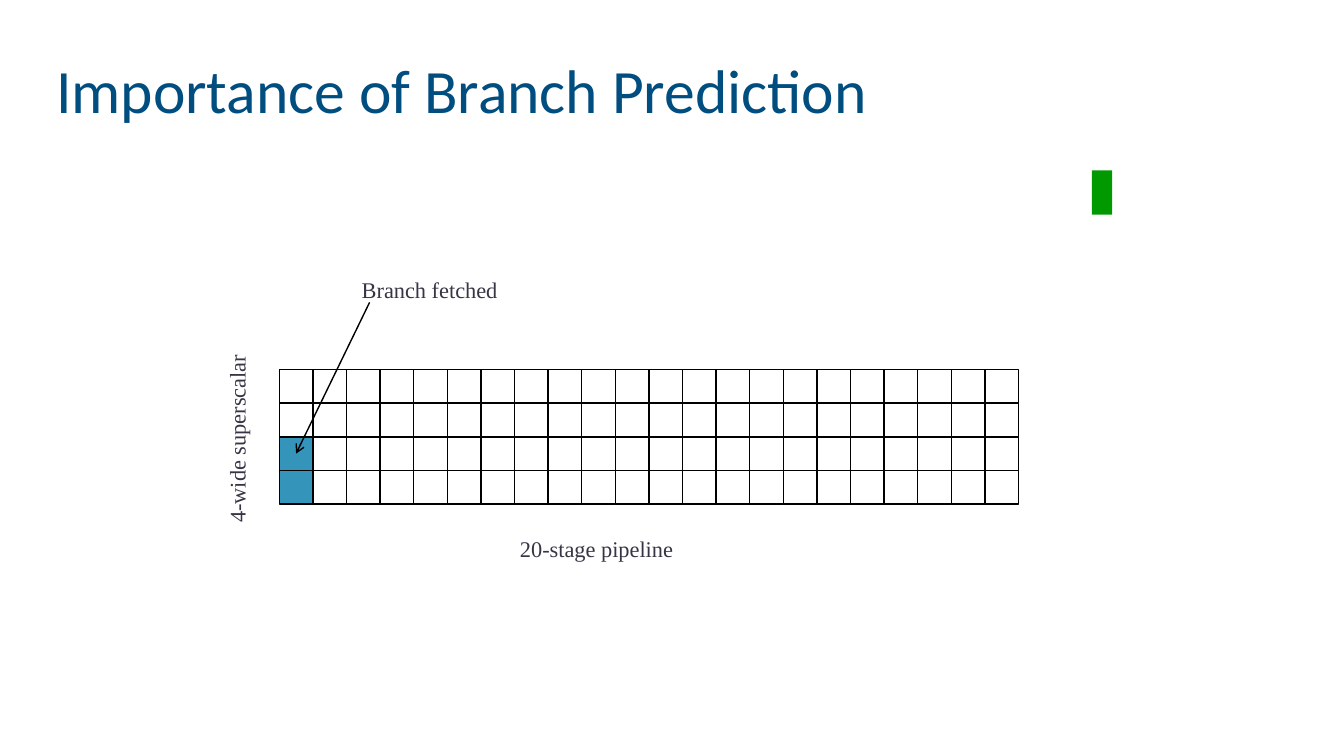
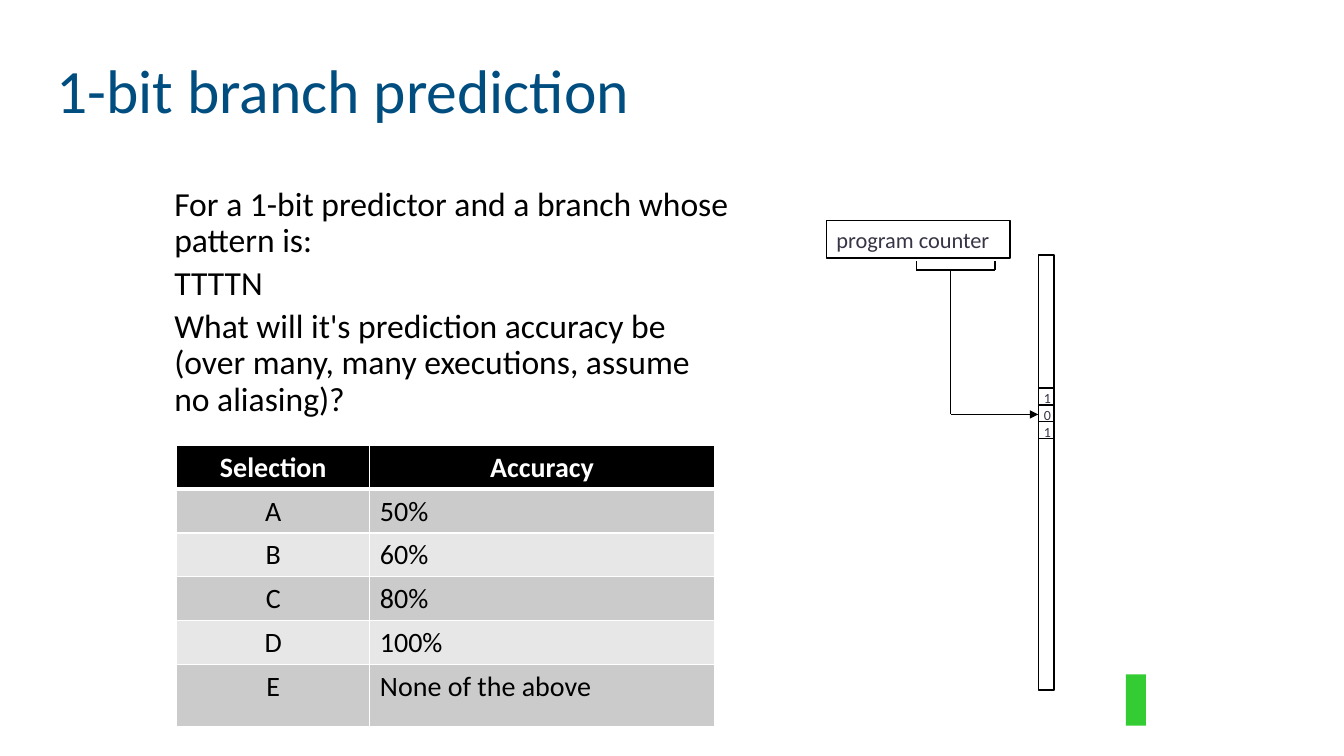
import dataclasses

import pptx
import pptx.dml.color
import pptx.enum.shapes
import pptx.enum.text
import pptx.oxml
import pptx.oxml.ns
import pptx.util

Pt = pptx.util.Pt
KIND = pptx.enum.shapes.MSO_SHAPE
LINK = pptx.enum.shapes.MSO_CONNECTOR
ALIGN = pptx.enum.text.PP_ALIGN
ANCHOR = pptx.enum.text.MSO_ANCHOR
FIT = pptx.enum.text.MSO_AUTO_SIZE


@dataclasses.dataclass(frozen=True)
class Theme:
    # Colours
    title: str = "004D80"
    ink: str = "373545"
    black: str = "000000"
    white: str = "FFFFFF"
    busy: str = "3494BA"
    green: str = "009900"
    lime: str = "33CC33"
    bands: tuple = ("CBCBCB", "E7E7E7")
    # Fonts and type sizes
    sans: str = "Calibri"
    serif: str = "Times New Roman"
    head: int = 44
    body: int = 24
    cell: int = 20
    label: int = 16
    bit: int = 10


def hue(code):
    return pptx.dml.color.RGBColor.from_string(code)


class Deck:
    def __init__(self, theme):
        self.theme = theme
        self.file = pptx.Presentation()
        self.file.slide_width, self.file.slide_height = Pt(960), Pt(540)
        self.slide = None

    def page(self, title):
        """Start a slide with the shared title style."""
        self.slide = self.file.slides.add_slide(self.file.slide_layouts[6])
        t = self.theme
        box = self.text([title], 33, 14.4, 909.5, 104.4, t.head, t.title, wrap=True)
        box.text_frame.vertical_anchor = ANCHOR.MIDDLE
        box.text_frame.paragraphs[0].line_spacing = 0.9

    def style(self, para, size, color, font=None, bold=False):
        for run in para.runs:
            run.font.name = font or self.theme.sans
            run.font.size = Pt(size)
            run.font.bold = bold
            run.font.color.rgb = hue(color)

    def text(self, lines, x, y, w, h, size, color, font=None, wrap=False):
        box = self.slide.shapes.add_textbox(Pt(x), Pt(y), Pt(w), Pt(h))
        frame = box.text_frame
        frame.word_wrap = wrap
        frame.auto_size = FIT.NONE if wrap else FIT.SHAPE_TO_FIT_TEXT
        frame.text = "\n".join(lines)
        for para in frame.paragraphs:
            self.style(para, size, color, font)
        return box

    def label(self, words, x, y, w, turn=0):
        t = self.theme
        box = self.text([words], x, y, w, 26.6, t.label, t.ink, t.serif)
        box.rotation = turn

    def rect(self, x, y, w, h, fill=None, edge=True):
        shape = self.slide.shapes.add_shape(KIND.RECTANGLE, Pt(x), Pt(y), Pt(w), Pt(h))
        shape.shadow.inherit = False
        if fill:
            shape.fill.solid()
            shape.fill.fore_color.rgb = hue(fill)
        else:
            shape.fill.background()
        if edge:
            shape.line.color.rgb = hue(self.theme.black)
            shape.line.width = Pt(1)
        else:
            shape.line.fill.background()

    def line(self, x1, y1, x2, y2, tip=None):
        link = self.slide.shapes.add_connector(
            LINK.STRAIGHT, Pt(x1), Pt(y1), Pt(x2), Pt(y2))
        link.line.color.rgb = hue(self.theme.black)
        link.line.width = Pt(1)
        props = link._element.spPr
        if tip:
            end = pptx.oxml.ns.qn("a:tailEnd")
            link.line._ln.append(link.line._ln.makeelement(end, {"type": tip}))
        props.append(props.makeelement(pptx.oxml.ns.qn("a:effectLst"), {}))

    def rim(self, cell, top, base):
        """Draw the four white borders of a table cell."""
        props = cell._tc.get_or_add_tcPr()
        sides = (("L", 1), ("R", 1), ("T", top), ("B", base))
        for i, (side, width) in enumerate(sides):
            props.insert(i, pptx.oxml.parse_xml(
                f'<a:ln{side} {pptx.oxml.ns.nsdecls("a")} w="{Pt(width)}"><a:solidFill>'
                f'<a:srgbClr val="{self.theme.white}"/></a:solidFill></a:ln{side}>'))

    def table(self, rows, x, y, wide, high):
        t = self.theme
        grid = self.slide.shapes.add_table(
            len(rows), len(wide), Pt(x), Pt(y), Pt(sum(wide)), Pt(sum(high))).table
        grid.first_row = grid.horz_banding = False
        for c, w in enumerate(wide):
            grid.columns[c].width = Pt(w)
        for r, row in enumerate(rows):
            grid.rows[r].height = Pt(high[r])
            head = r == 0
            for c, words in enumerate(row):
                cell = grid.cell(r, c)
                cell.fill.solid()
                cell.fill.fore_color.rgb = hue(t.black if head else t.bands[(r - 1) % 2])
                self.rim(cell, 3 if r == 1 else 1, 3 if head else 1)
                cell.text_frame.text = words
                para = cell.text_frame.paragraphs[0]
                para.alignment = ALIGN.CENTER if head or c == 0 else ALIGN.LEFT
                self.style(para, t.cell, t.white if head else t.black, bold=head)


def pipeline(deck):
    t = deck.theme
    deck.page("Importance of Branch Prediction")

    # Pipeline slots: the branch fills the lower half of the first stage
    side = 24
    for col in range(22):
        for row in range(4):
            fill = t.busy if col == 0 and row > 1 else t.white
            deck.rect(199.5 + col * side, 264 + row * side, side, side, fill)

    # Labels and pointer
    deck.line(264, 216, 211.5, 324, "arrow")
    deck.label("Branch fetched", 251.3, 193.7, 113)
    deck.label("4-wide superscalar", 100.8, 298.8, 136.8, 270)
    deck.label("20-stage pipeline", 364.3, 378.7, 126)
    deck.rect(780, 121.7, 14.4, 31.7, t.green, edge=False)


def one_bit(deck):
    t = deck.theme
    deck.page("1-bit branch prediction")

    # History table with three of its bits
    deck.rect(742, 182, 11, 311)
    for i in range(4):
        deck.line(741.6, 277.2 + 12 * i, 753.6, 277.2 + 12 * i)
    for i, bit in enumerate("101"):
        deck.text([bit], 738.6, 275 + 12 * i, 18, 19.4, t.bit, t.ink)

    # Program counter, with the bits that index the table
    deck.rect(590.4, 157.7, 131, 26.6)
    deck.text(["program counter"], 590.4, 157.7, 131, 26.6, t.label, t.ink)
    left, right, low = 654.5, 710.6, 193
    for x in (left, right):
        deck.line(x, 186.5, x, low)
    deck.line(left, low, right, low)
    deck.line(679, low, 679, 296)
    deck.line(679, 296, 741.6, 296, "triangle")
    deck.rect(804.2, 481.7, 14.4, 36.7, t.lime, edge=False)

    # Answers
    rows = [("Selection", "Accuracy"), ("A", "50%"), ("B", "60%"), ("C", "80%"),
            ("D", "100%"), ("E", "None of the above")]
    deck.table(rows, 126.2, 318.2, (138, 246), [31.3] * 5 + [44])

    # Question
    box = deck.text(
        ["For a 1-bit predictor and a branch whose pattern is:",
         "TTTTN",
         "What will it's prediction accuracy be (over many, many executions, "
         "assume no aliasing)?"],
        117.4, 130.3, 410.4, 156.2, t.body, t.black, wrap=True)
    for para in box.text_frame.paragraphs:
        para.line_spacing = 0.9
        para.space_before = Pt(4.8)


def main():
    deck = Deck(Theme())
    pipeline(deck)
    one_bit(deck)
    deck.file.save("out.pptx")


if __name__ == "__main__":
    main()
